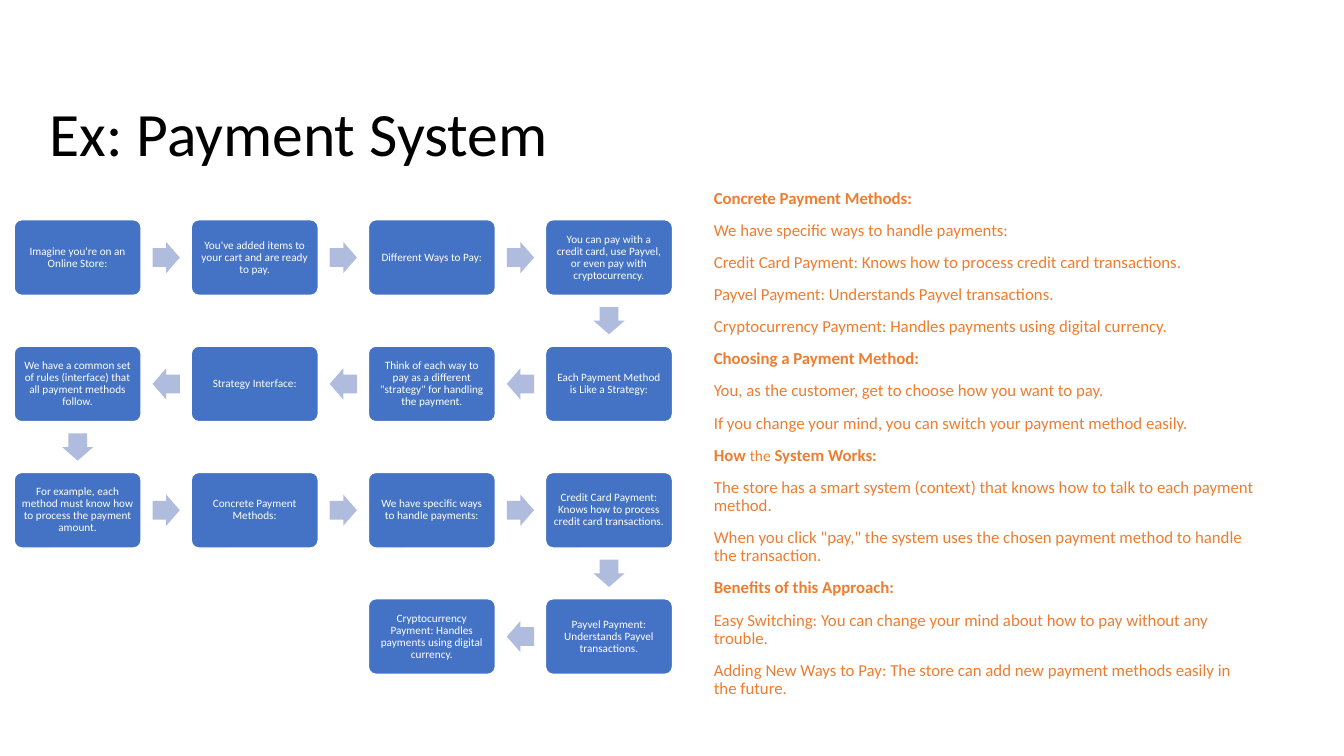
import pptx
import pptx.dml.color
import pptx.enum.shapes
import pptx.enum.text
import pptx.oxml.ns
import pptx.util
from lxml import etree

COLORS = {"title": "000000", "step": "4472C4", "step_text": "FFFFFF",
          "arrow": "B0BCDE", "detail": "ED7D31"}
PX = 9144
COLUMNS = 4
COLUMN_PITCH, ROW_PITCH = 175.67, 125.33
FLOW_LEFT, FLOW_TOP = 14, 218
STEP_WIDTH, STEP_HEIGHT = 126, 75
ARROW_LENGTH, ARROW_BREADTH = 27, 31

STEPS = [
    "Imagine you're on an Online Store:",
    "You've added items to your cart and are ready to pay.",
    "Different Ways to Pay:",
    "You can pay with a credit card, use Payvel, or even pay with cryptocurrency.",
    "Each Payment Method is Like a Strategy:",
    'Think of each way to pay as a different "strategy" for handling the payment.',
    "Strategy Interface:",
    "We have a common set of rules (interface) that all payment methods follow.",
    "For example, each method must know how to process the payment amount.",
    "Concrete Payment Methods:",
    "We have specific ways to handle payments:",
    "Credit Card Payment: Knows how to process credit card transactions.",
    "Payvel Payment: Understands Payvel transactions.",
    "Cryptocurrency Payment: Handles payments using digital currency.",
]

SECTIONS = [
    ([("Concrete Payment Methods:", 12, True)], [
        "We have specific ways to handle payments:",
        "Credit Card Payment: Knows how to process credit card transactions.",
        "Payvel Payment: Understands Payvel transactions.",
        "Cryptocurrency Payment: Handles payments using digital currency."]),
    ([("Choosing a Payment Method:", 12, True)], [
        "You, as the customer, get to choose how you want to pay.",
        "If you change your mind, you can switch your payment method easily."]),
    ([("How ", 12, True), ("the", 11, False), (" System Works:", 12, True)], [
        "The store has a smart system (context) that knows how to talk to each payment method.",
        'When you click "pay," the system uses the chosen payment method to handle the transaction.']),
    ([("Benefits of this Approach:", 12, True)], [
        "Easy Switching: You can change your mind about how to pay without any trouble.",
        "Adding New Ways to Pay: The store can add new payment methods easily in the future."]),
]


class SlideBuilder:
    """Holds the style and the current slide, and adds each kind of element."""

    def __init__(self, deck, font):
        self.slide = deck.slides.add_slide(deck.slide_layouts[1])
        self.font = font

    def color(self, name):
        return pptx.dml.color.RGBColor.from_string(COLORS[name])

    def place(self, item, left, top, width, height):
        item.left, item.top = round(left * PX), round(top * PX)
        item.width, item.height = round(width * PX), round(height * PX)

    def add_runs(self, paragraph, runs, color, align):
        paragraph.alignment = align
        paragraph.line_spacing = 0.9
        for words, size, bold in runs:
            run = paragraph.add_run()
            run.text = words
            run.font.name = self.font
            run.font.size = pptx.util.Pt(size)
            run.font.bold = bold
            run.font.color.rgb = self.color(color)

    def frame(self, item, anchor):
        item.text_frame.word_wrap = True
        item.text_frame.auto_size = pptx.enum.text.MSO_AUTO_SIZE.NONE
        item.text_frame.vertical_anchor = anchor
        return item.text_frame

    def title(self, words, *bounds):
        heading = self.slide.shapes.title
        self.place(heading, *bounds)
        frame = self.frame(heading, pptx.enum.text.MSO_ANCHOR.MIDDLE)
        self.add_runs(frame.paragraphs[0], [(words, 44, False)], "title",
                      pptx.enum.text.PP_ALIGN.LEFT)

    def details(self, lines, *bounds):
        body = self.slide.placeholders[1]
        self.place(body, *bounds)
        frame = self.frame(body, pptx.enum.text.MSO_ANCHOR.TOP)
        for index, runs in enumerate(lines):
            paragraph = frame.add_paragraph() if index else frame.paragraphs[0]
            self.add_runs(paragraph, runs, "detail", pptx.enum.text.PP_ALIGN.LEFT)
            paragraph.space_before = pptx.util.Pt(10)
            properties = paragraph._p.get_or_add_pPr()
            properties.set("marL", "0")
            properties.set("indent", "0")
            etree.SubElement(properties, pptx.oxml.ns.qn("a:buNone"))

    def solid(self, kind, adjustments, fill, *bounds):
        item = self.slide.shapes.add_shape(kind, 0, 0, 0, 0)
        self.place(item, *bounds)
        for index, value in enumerate(adjustments):
            item.adjustments[index] = value
        item.shadow.inherit = False
        item.fill.solid()
        item.fill.fore_color.rgb = self.color(fill)
        item.line.fill.background()
        return item

    def step(self, words, center_x, center_y):
        box = self.solid(pptx.enum.shapes.MSO_SHAPE.ROUNDED_RECTANGLE, [0.1], "step",
                         center_x - STEP_WIDTH / 2, center_y - STEP_HEIGHT / 2,
                         STEP_WIDTH, STEP_HEIGHT)
        box.line.color.rgb = self.color("step_text")
        box.line.width = pptx.util.Pt(1)
        frame = self.frame(box, pptx.enum.text.MSO_ANCHOR.MIDDLE)
        frame.margin_left = frame.margin_right = 5 * PX
        frame.margin_top = frame.margin_bottom = 5 * PX
        self.add_runs(frame.paragraphs[0], [(words, 8, False)], "step_text",
                      pptx.enum.text.PP_ALIGN.CENTER)

    def arrow(self, start, end):
        center_x, center_y = (start[0] + end[0]) / 2, (start[1] + end[1]) / 2
        pointer = self.solid(pptx.enum.shapes.MSO_SHAPE.RIGHT_ARROW, [0.6, 0.5], "arrow",
                             center_x - ARROW_LENGTH / 2, center_y - ARROW_BREADTH / 2,
                             ARROW_LENGTH, ARROW_BREADTH)
        if end[1] > start[1]:
            pointer.rotation = 90
        elif end[0] < start[0]:
            pointer.rotation = 180


def step_center(index):
    row, column = divmod(index, COLUMNS)
    if row % 2:
        column = COLUMNS - 1 - column
    return (FLOW_LEFT + STEP_WIDTH / 2 + column * COLUMN_PITCH,
            FLOW_TOP + STEP_HEIGHT / 2 + row * ROW_PITCH)


def main():
    deck = pptx.Presentation()
    deck.slide_width, deck.slide_height = 1333 * PX, 750 * PX
    builder = SlideBuilder(deck, "Calibri")
    builder.title("Ex: Payment System", 39, 63, 620, 145)

    centers = [step_center(index) for index in range(len(STEPS))]
    for words, center in zip(STEPS, centers):
        builder.step(words, *center)
    for start, end in zip(centers, centers[1:]):
        builder.arrow(start, end)

    lines = []
    for heading, items in SECTIONS:
        lines.append(heading)
        lines.extend([(item, 12, False)] for item in items)
    builder.details(lines, 698, 183, 558, 572)
    deck.save("out.pptx")


if __name__ == "__main__":
    main()
